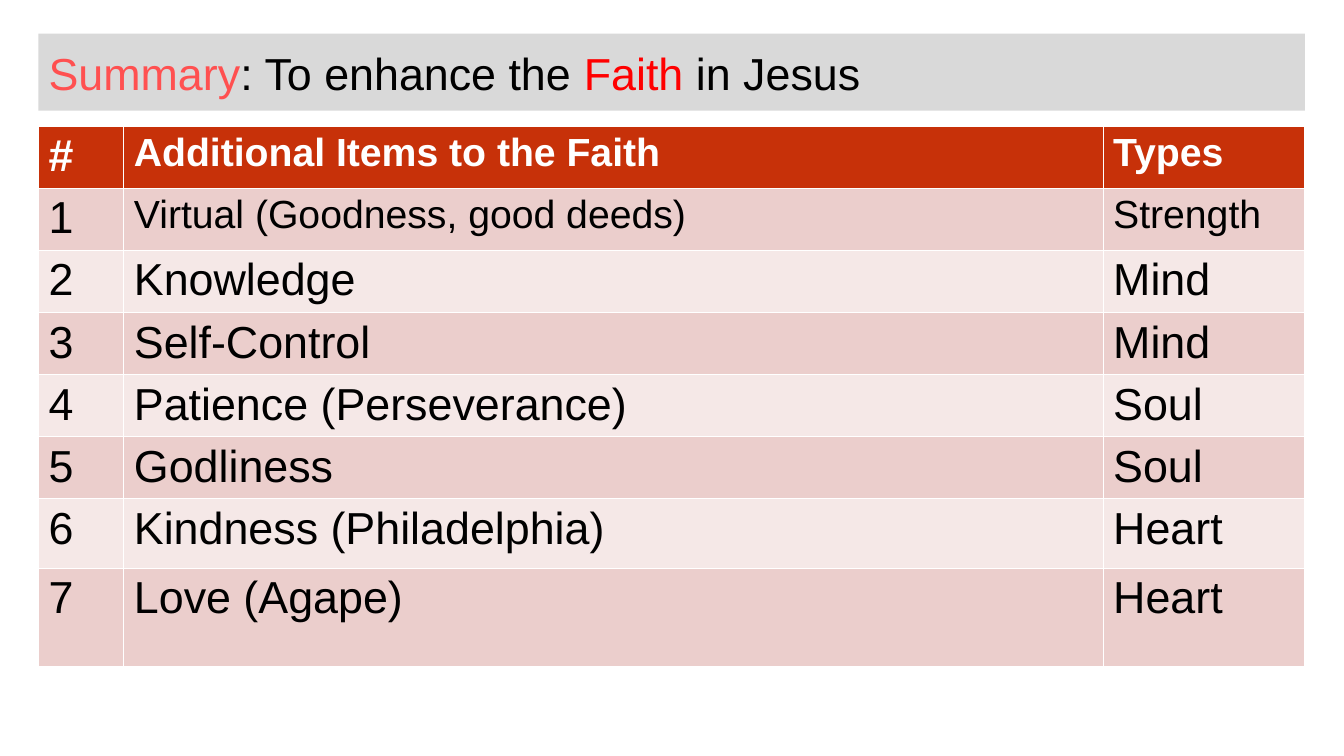
"""Build the slide that sums up seven additions to the Faith."""
import pptx
import pptx.util
import pptx.dml.color
import pptx.enum.text

Pt = pptx.util.Pt
RGBColor = pptx.dml.color.RGBColor

BLACK = RGBColor(0x00, 0x00, 0x00)
WHITE = RGBColor(0xFF, 0xFF, 0xFF)
CORAL = RGBColor(0xFF, 0x50, 0x50)
RED = RGBColor(0xFF, 0x00, 0x00)
GREY = RGBColor(0xD9, 0xD9, 0xD9)
HEADER = RGBColor(0xC7, 0x31, 0x09)
BANDS = [RGBColor(0xF5, 0xE8, 0xE7), RGBColor(0xEB, 0xCE, 0xCC)]

LEFT = 27.5
WIDTH = 904.5
COLUMNS = [61, 699.5, 144]
HEIGHTS = [44.4] * 6 + [49.5, 70.5]
ROWS = [
    ("#", "Additional Items to the Faith", "Types"),
    ("1", "Virtual (Goodness, good deeds)", "Strength"),
    ("2", "Knowledge", "Mind"),
    ("3", "Self-Control", "Mind"),
    ("4", "Patience (Perseverance)", "Soul"),
    ("5", "Godliness", "Soul"),
    ("6", "Kindness (Philadelphia)", "Heart"),
    ("7", "Love (Agape)", "Heart"),
]
TITLE = [("Summary", CORAL), (": To enhance the ", BLACK),
         ("Faith", RED), (" in Jesus", BLACK)]


def style(font, size, color, bold=False):
    font.name = "Arial"
    font.size = Pt(size)
    font.bold = bold
    font.color.rgb = color


prs = pptx.Presentation()
prs.slide_width = Pt(960)
prs.slide_height = Pt(540)
s = prs.slides.add_slide(prs.slide_layouts[5])

sp = s.shapes.title
sp.left, sp.top, sp.width, sp.height = Pt(LEFT), Pt(24), Pt(WIDTH), Pt(55)
sp.fill.solid()
sp.fill.fore_color.rgb = GREY
tf = sp.text_frame
tf.word_wrap = True
tf.auto_size = pptx.enum.text.MSO_AUTO_SIZE.NONE
tf.vertical_anchor = pptx.enum.text.MSO_ANCHOR.MIDDLE
p = tf.paragraphs[0]
p.alignment = pptx.enum.text.PP_ALIGN.LEFT
for text, color in TITLE:
    r = p.add_run()
    r.text = text
    style(r.font, 32, color)

table = s.shapes.add_table(len(ROWS), len(COLUMNS), Pt(LEFT), Pt(90),
                           Pt(WIDTH), Pt(sum(HEIGHTS))).table
for column, width in zip(table.columns, COLUMNS):
    column.width = Pt(width)
for i, (row, height, texts) in enumerate(zip(table.rows, HEIGHTS, ROWS)):
    row.height = Pt(height)
    header = i == 0
    for j, (cell, text) in enumerate(zip(row.cells, texts)):
        cell.fill.solid()
        cell.fill.fore_color.rgb = HEADER if header else BANDS[i % 2]
        cell.text_frame.text = text
        size = 28 if i < 2 and j > 0 else 32
        r = cell.text_frame.paragraphs[0].runs[0]
        style(r.font, size, WHITE if header else BLACK, header)

prs.save("out.pptx")
